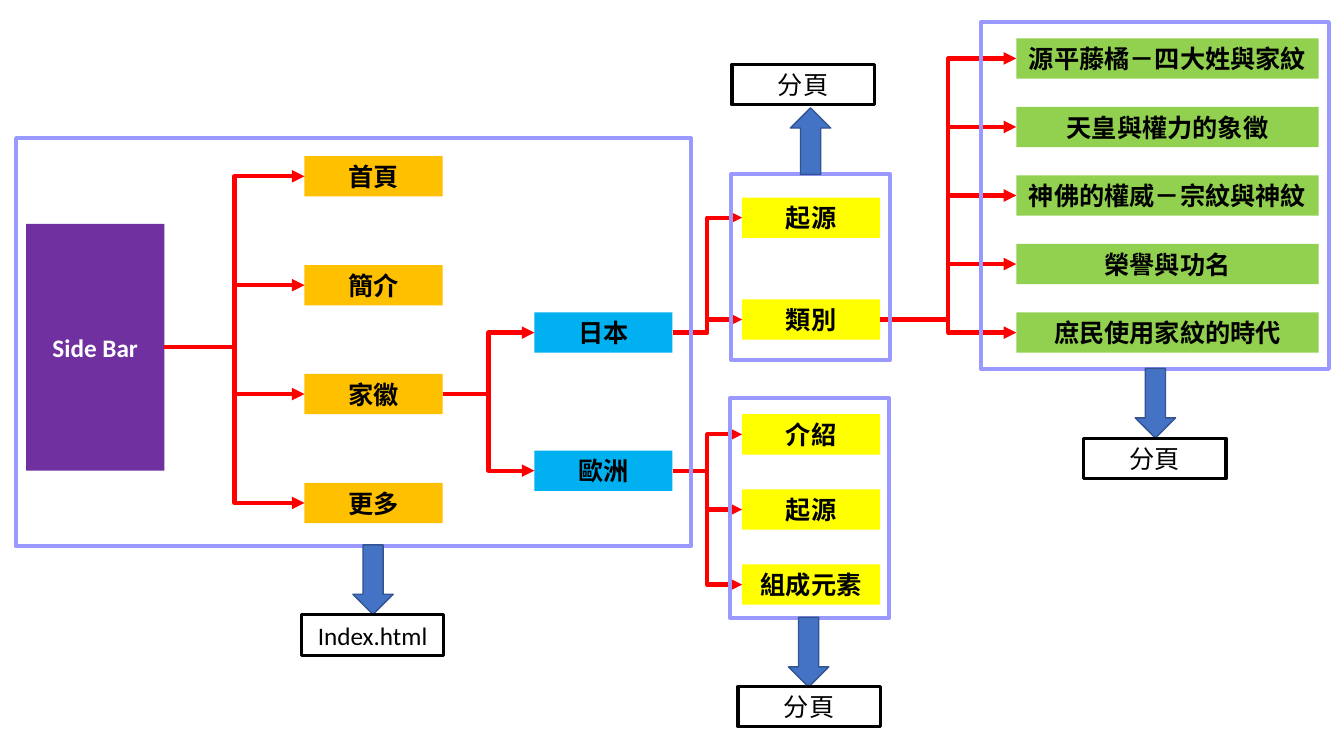
"""Build a site map slide: side bar, menu branches and the pages they belong to."""
from dataclasses import dataclass

from lxml.etree import SubElement
from pptx import Presentation
from pptx.dml.color import RGBColor
from pptx.enum.shapes import MSO_CONNECTOR as Connector, MSO_SHAPE as Shape
from pptx.enum.text import MSO_ANCHOR as Anchor, MSO_AUTO_SIZE as AutoSize, PP_ALIGN as Align
from pptx.oxml.ns import qn
from pptx.util import Inches, Pt


@dataclass(frozen=True)
class Theme:
    font: str = "Calibri"
    size: float = 18
    black: str = "000000"
    white: str = "FFFFFF"
    root: str = "7030A0"
    menu: str = "FFC000"
    region: str = "00B0F0"
    topic: str = "FFFF00"
    article: str = "92D050"
    branch: str = "FF0000"
    frame: str = "9999FF"
    arrow: str = "4472C4"
    arrow_edge: str = "325491"
    heavy: float = 3
    medium: float = 2.25
    thin: float = 1


THEME = Theme()
SLIDE_SIZE = (13.33, 7.5)
NODE_WIDTH, NODE_HEIGHT = 1.37, 0.4
LABEL_WIDTH, LABEL_HEIGHT = 1.41, 0.4
ARROW_WIDTH = 0.4

ROOT = ("Side Bar", (0.26, 2.22, NODE_WIDTH, 2.45))

# parent, fill, left, first top, row pitch, width, labels
BRANCHES = [
    ("Side Bar", THEME.menu, 3.02, 1.55, 1.08, NODE_WIDTH, ["首頁", "簡介", "家徽", "更多"]),
    ("家徽", THEME.region, 5.3, 3.1, 1.37, NODE_WIDTH, ["日本", "歐洲"]),
    ("日本", THEME.topic, 7.36, 1.96, 1.01, NODE_WIDTH, ["起源", "類別"]),
    ("歐洲", THEME.topic, 7.36, 4.11, 0.745, NODE_WIDTH, ["介紹", "起源", "組成元素"]),
    ("類別", THEME.article, 10.08, 0.38, 0.68, 3, [
        "源平藤橘－四大姓與家紋",
        "天皇與權力的象徵",
        "神佛的權威－宗紋與神紋",
        "榮譽與功名",
        "庶民使用家紋的時代",
    ]),
]

# frame box, label, label left and top, arrow centre, length and rotation
PAGES = [
    ((0.16, 1.37, 6.69, 4.05), "Index.html", (2.99, 6.1), (3.7, 5.75), 0.69, 90),
    ((7.25, 1.73, 1.58, 1.84), "分頁", (7.26, 0.64), (8.04, 1.4), 0.66, 270),
    ((7.24, 3.95, 1.58, 2.18), "分頁", (7.32, 6.81), (8.02, 6.47), 0.69, 90),
    ((9.73, 0.22, 3.45, 3.44), "分頁", (10.75, 4.35), (11.46, 4.0), 0.69, 90),
]


def color(value):
    """Turn a hex string into a colour."""
    return RGBColor.from_string(value)


def write(box, text, ink, bold):
    """Put one centred line of text in a box."""
    box.text_frame.word_wrap = True
    para = box.text_frame.paragraphs[0]
    para.alignment = Align.CENTER
    span = para.add_run()
    span.text = text
    span.font.name, span.font.size, span.font.bold = THEME.font, Pt(THEME.size), bold
    span.font.color.rgb = color(ink)


def outline(box, ink, width):
    """Give a box or connector a solid line."""
    box.line.color.rgb = color(ink)
    box.line.width = Pt(width)


def add_box(page, kind, place, fill=None):
    """Add a preset shape without line or shadow."""
    box = page.shapes.add_shape(kind, *map(Inches, place))
    box.shadow.inherit = False
    box.line.fill.background()
    if fill:
        box.fill.solid()
        box.fill.fore_color.rgb = color(fill)
    else:
        box.fill.background()
    return box


def add_node(page, text, place, fill, ink=THEME.black):
    """Add one filled box of the site map."""
    box = add_box(page, Shape.RECTANGLE, place, fill)
    box.text_frame.vertical_anchor = Anchor.MIDDLE
    write(box, text, ink, True)
    return box


def join(page, parent, child):
    """Lead an elbow arrow from a parent to its child."""
    link = page.shapes.add_connector(Connector.ELBOW, 0, 0, 0, 0)
    link.begin_connect(parent, 3)
    link.end_connect(child, 1)
    outline(link, THEME.branch, THEME.heavy)
    SubElement(link.line._get_or_add_ln(), qn("a:tailEnd"), type="triangle")
    SubElement(link._element.spPr, qn("a:effectLst"))


def add_page_group(page, frame_place, text, corner, centre, length, turn):
    """Frame the boxes of one page and point to its label."""
    frame = add_box(page, Shape.RECTANGLE, frame_place)
    outline(frame, THEME.frame, THEME.heavy)

    middle_x, middle_y = centre
    place = (middle_x - length / 2, middle_y - ARROW_WIDTH / 2, length, ARROW_WIDTH)
    arrow = add_box(page, Shape.RIGHT_ARROW, place, THEME.arrow)
    arrow.rotation = turn
    outline(arrow, THEME.arrow_edge, THEME.thin)

    label = page.shapes.add_textbox(*map(Inches, (*corner, LABEL_WIDTH, LABEL_HEIGHT)))
    label.text_frame.auto_size = AutoSize.SHAPE_TO_FIT_TEXT
    outline(label, THEME.black, THEME.medium)
    write(label, text, THEME.black, False)


def main():
    """Draw the site map and save it."""
    deck = Presentation()
    deck.slide_width, deck.slide_height = map(Inches, SLIDE_SIZE)
    page = deck.slides.add_slide(deck.slide_layouts[6])

    root_text, root_place = ROOT
    nodes = {root_text: add_node(page, root_text, root_place, THEME.root, THEME.white)}
    for parent, fill, left, top, pitch, width, labels in BRANCHES:
        for row, text in enumerate(labels):
            place = (left, top + row * pitch, width, NODE_HEIGHT)
            nodes[text] = add_node(page, text, place, fill)
            join(page, nodes[parent], nodes[text])

    for group in PAGES:
        add_page_group(page, *group)
    deck.save("out.pptx")


if __name__ == "__main__":
    main()
